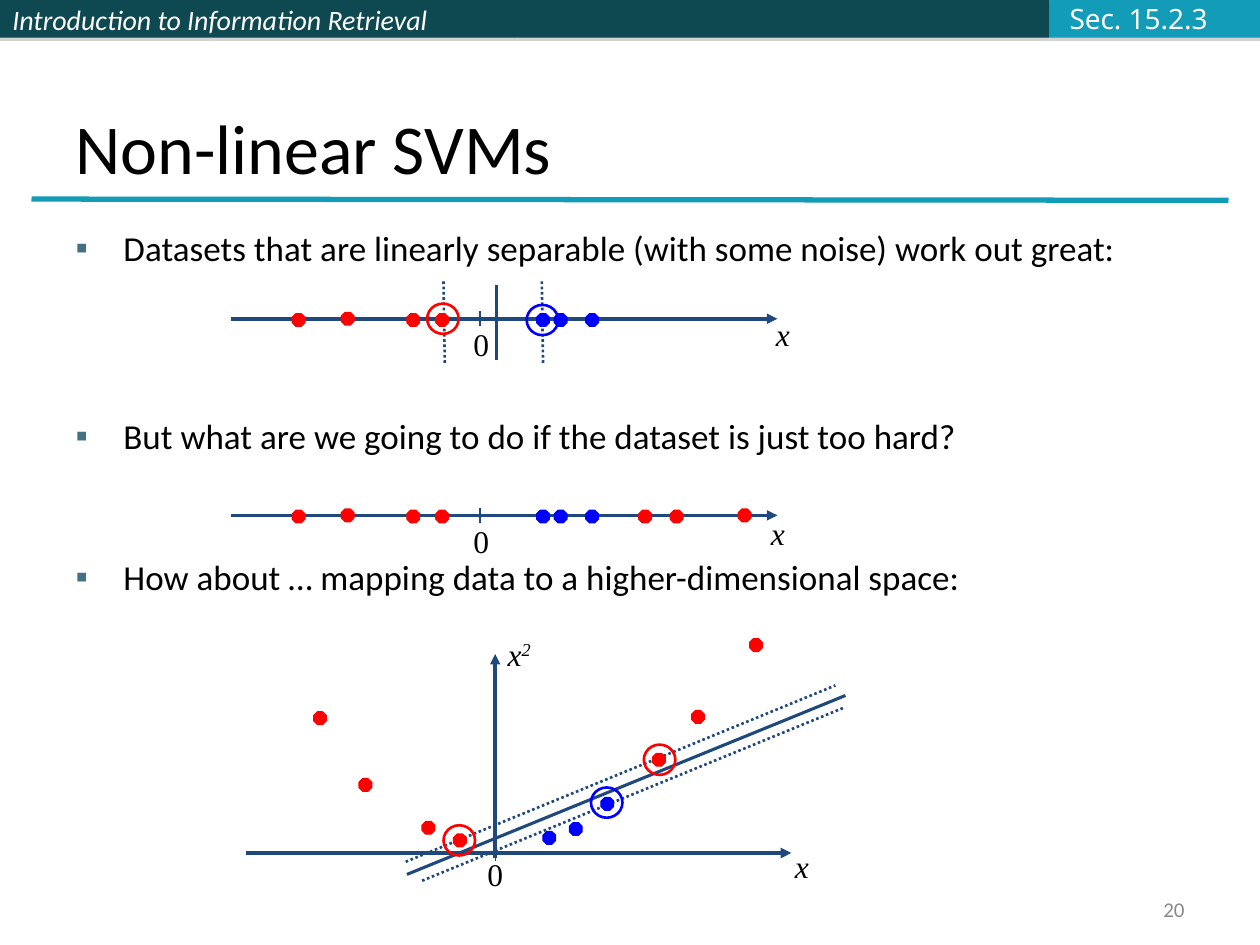
"""Build the "Non-linear SVMs" lecture slide."""
import lxml.etree
import pptx
import pptx.dml.color
import pptx.enum.dml
import pptx.enum.shapes
import pptx.enum.text
import pptx.oxml
import pptx.oxml.ns
import pptx.util

Inches, Pt, qn = pptx.util.Inches, pptx.util.Pt, pptx.oxml.ns.qn
SHAPE = pptx.enum.shapes.MSO_SHAPE
ANCHOR = pptx.enum.text.MSO_ANCHOR
ALIGN = pptx.enum.text.PP_ALIGN
NAVY, TEAL, DARK, RED, BLUE = "1F497D", "139CB7", "0E4851", "FF0000", "0000FF"
SERIF = "Times New Roman"


def rgb(value):
    return pptx.dml.color.RGBColor.from_string(value)


def write(p, text, size=18, font="Calibri", color="000000", italic=False, raised=False):
    r = p.add_run()
    r.text = text
    r.font.size, r.font.name, r.font.italic = Pt(size), font, italic
    r.font.color.rgb = rgb(color)
    if raised:
        r.font._element.set("baseline", "30000")


prs = pptx.Presentation()
prs.slide_width, prs.slide_height = Inches(10), Inches(7.5)
s = prs.slides.add_slide(prs.slide_layouts[1])
title, body = s.placeholders[0], s.placeholders[1]

for x, w, color, label in [
    (0, 4.08, DARK, "Introduction to Information Retrieval"),
    (4.08, 4.25, DARK, ""),
    (8.33, 1.67, TEAL, ""),
]:
    sp = s.shapes.add_shape(SHAPE.RECTANGLE, Inches(x), 0, Inches(w), Inches(0.3))
    sp.fill.solid()
    sp.fill.fore_color.rgb = rgb(color)
    sp.line.fill.background()
    sp.shadow.inherit = False
    effects = sp._element.spPr.find(qn("a:effectLst"))
    shadow = lxml.etree.SubElement(
        effects, qn("a:outerShdw"), dist="22860", dir="5400000", rotWithShape="0")
    tint = lxml.etree.SubElement(shadow, qn("a:srgbClr"), val="808080")
    lxml.etree.SubElement(tint, qn("a:alpha"), val="35000")
    if label:
        sp.text_frame.vertical_anchor = ANCHOR.MIDDLE
        p = sp.text_frame.paragraphs[0]
        p.alignment = ALIGN.LEFT
        write(p, label, size=16, color="FFFFFF", italic=True)

for sp, y, h, anchor in [(title, 0.3, 1.25, ANCHOR.BOTTOM), (body, 1.75, 5.42, ANCHOR.TOP)]:
    sp.left, sp.top, sp.width, sp.height = Inches(0.5), Inches(y), Inches(9), Inches(h)
    sp.text_frame.vertical_anchor = anchor
    sp.text_frame.auto_size = pptx.enum.text.MSO_AUTO_SIZE.NONE
    sp.text_frame.word_wrap = True
p = title.text_frame.paragraphs[0]
p.alignment = ALIGN.LEFT
write(p, "Non-linear SVMs", size=40)

bullets = [
    ("Datasets that are linearly separable (with some noise) work out great:", 5),
    ("But what are we going to do if the dataset is just too hard?", 83),
    ("How about … mapping data to a higher-dimensional space:", 57),
]
for i, (text, gap) in enumerate(bullets):
    p = body.text_frame.add_paragraph() if i else body.text_frame.paragraphs[0]
    p.space_before = Pt(gap)
    pPr = p._p.get_or_add_pPr()
    pPr.set("marL", str(Inches(0.38)))
    pPr.set("indent", str(-Inches(0.38)))
    bullet_color = lxml.etree.SubElement(pPr, qn("a:buClr"))
    lxml.etree.SubElement(bullet_color, qn("a:srgbClr"), val="437085")
    lxml.etree.SubElement(pPr, qn("a:buFont"), typeface="Arial")
    lxml.etree.SubElement(pPr, qn("a:buChar"), char="▪")
    write(p, text, size=20)

lines = [
    (0.25, 1.58, 9.75, 1.59, TEAL, 3, ""),
    (1.95, 6.77, 6.28, 6.77, NAVY, 2, "arrow"),
    (3.93, 6.81, 3.93, 5.19, NAVY, 2, "arrow"),
    (3.93, 6.71, 3.93, 6.83, NAVY, 0.75, ""),
    (3.94, 2.26, 3.94, 2.86, NAVY, 1.5, ""),
    (4.31, 2.88, 4.3, 2.23, NAVY, 1.5, "dots"),
    (3.53, 2.88, 3.52, 2.23, NAVY, 1.5, "dots"),
    (3.23, 6.94, 6.71, 5.52, NAVY, 1.75, ""),
    (3.22, 6.84, 6.63, 5.44, NAVY, 1.5, "dots"),
    (3.35, 6.99, 6.69, 5.62, NAVY, 1.5, "dots"),
]
for y in (2.53, 4.09):
    lines += [(1.83, y, 6.17, y, NAVY, 2, "arrow"),
              (3.81, y - 0.06, 3.81, y + 0.06, NAVY, 1.5, "")]
for x1, y1, x2, y2, color, weight, style in lines:
    line = s.shapes.add_connector(
        pptx.enum.shapes.MSO_CONNECTOR.STRAIGHT,
        Inches(x1), Inches(y1), Inches(x2), Inches(y2))
    line.line.color.rgb = rgb(color)
    line.line.width = Pt(weight)
    if style == "dots":
        line.line.dash_style = pptx.enum.dml.MSO_LINE.ROUND_DOT
    if style == "arrow":
        lxml.etree.SubElement(line.line._get_or_add_ln(), qn("a:tailEnd"), type="triangle")
    lxml.etree.SubElement(line._element.spPr, qn("a:effectLst"))

easy = [(2.32, 0, RED), (2.71, -0.01, RED), (3.23, 0, RED), (3.46, 0, RED),
        (4.4, 0, BLUE), (4.65, 0, BLUE), (4.26, 0, BLUE)]
hard = easy + [(5.07, 0, RED), (5.32, 0, RED), (5.86, -0.01, RED)]
mapped = [(2.49, 5.65, RED), (2.85, 6.18, RED), (3.35, 6.52, RED), (3.6, 6.62, RED),
          (4.52, 6.53, BLUE), (4.77, 6.33, BLUE), (4.31, 6.6, BLUE),
          (5.18, 5.98, RED), (5.49, 5.64, RED), (5.95, 5.07, RED)]
dots = [(x, 2.49 + dy, c) for x, dy, c in easy]
dots += [(x, 4.05 + dy, c) for x, dy, c in hard] + mapped
rings = [(4.18, 2.42, BLUE), (3.39, 2.41, RED),
         (5.11, 5.91, RED), (4.69, 6.25, BLUE), (3.52, 6.55, RED)]
for marks, kind, w, h, weight in [
    (dots, SHAPE.OCTAGON, 0.1, 0.1, 0.75),
    (rings, SHAPE.OVAL, 0.25, 0.24, 1.5),
]:
    for x, y, color in marks:
        sp = s.shapes.add_shape(kind, Inches(x), Inches(y), Inches(w), Inches(h))
        sp.shadow.inherit = False
        sp.line.color.rgb = rgb(color)
        sp.line.width = Pt(weight)
        if kind == SHAPE.OVAL:
            sp.fill.background()
        else:
            sp.fill.solid()
            sp.fill.fore_color.rgb = rgb(color)

zero, axis = dict(font=SERIF), dict(font=SERIF, italic=True)
labels = [
    (3.66, 2.53, 0.37, 0.4, "0", zero),
    (3.66, 4.09, 0.37, 0.4, "0", zero),
    (3.77, 6.74, 0.37, 0.4, "0", zero),
    (6.06, 2.45, 0.5, 0.4, "x", axis),
    (6.02, 4.03, 0.5, 0.4, "x", axis),
    (6.21, 6.67, 0.5, 0.4, "x", axis),
    (3.93, 4.99, 0.5, 0.4, "x²", axis),
    (7.17, 7.08, 2.33, 0.27, "20", dict(size=12, color="898989")),
    (8.39, -0.04, 1.5, 0.37, "Sec. 15.2.3", dict(size=16, font="Noto Sans", color="FBFCFF")),
]
for x, y, w, h, text, style in labels:
    tf = s.shapes.add_textbox(Inches(x), Inches(y), Inches(w), Inches(h)).text_frame
    tf.word_wrap = True
    p = tf.paragraphs[0]
    if style not in (zero, axis):
        tf.vertical_anchor = ANCHOR.MIDDLE
    if text == "20":
        p.alignment = ALIGN.RIGHT
    write(p, text.rstrip("²"), **style)
    if text.endswith("²"):
        write(p, "2", raised=True, **style)

prs.save("out.pptx")
